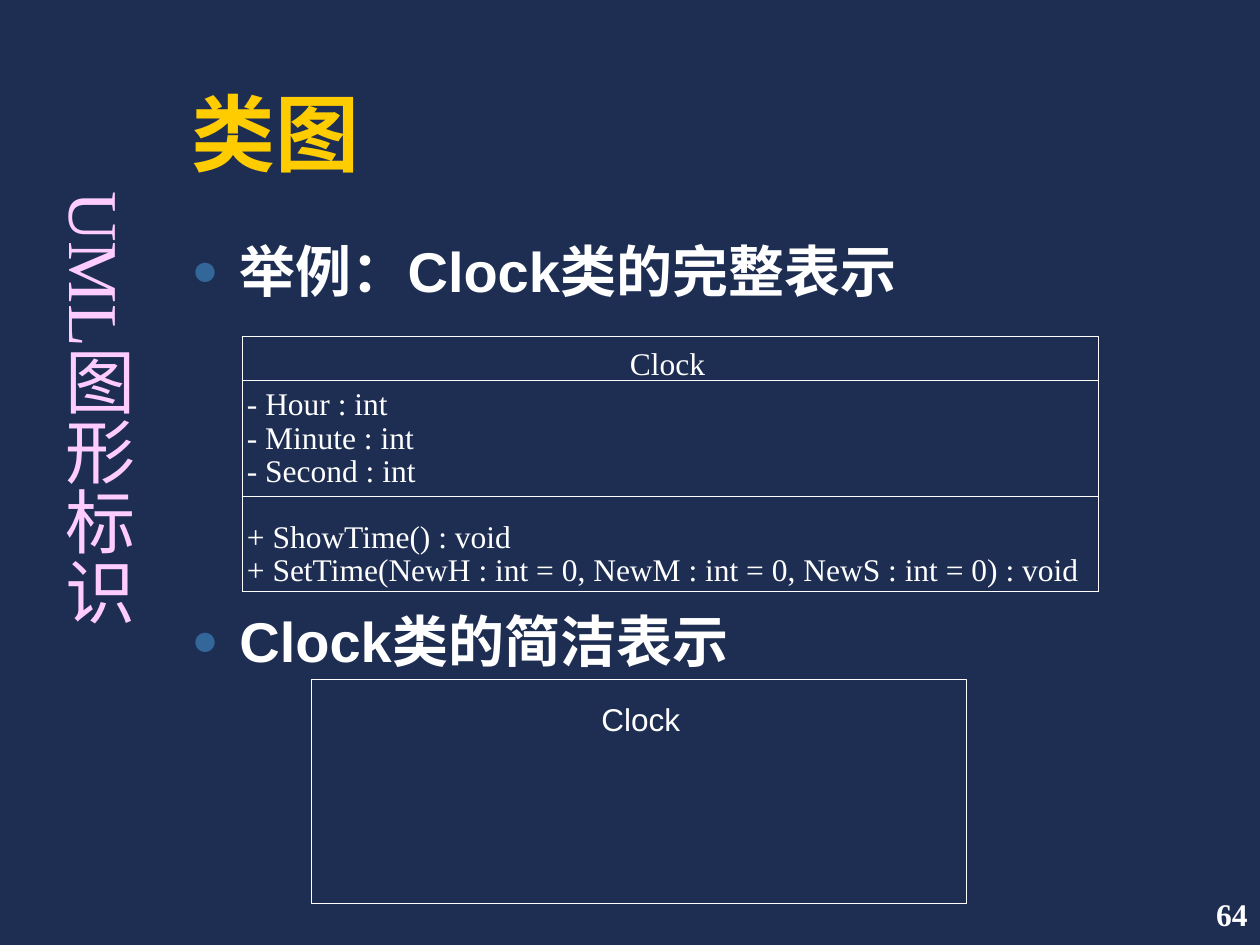
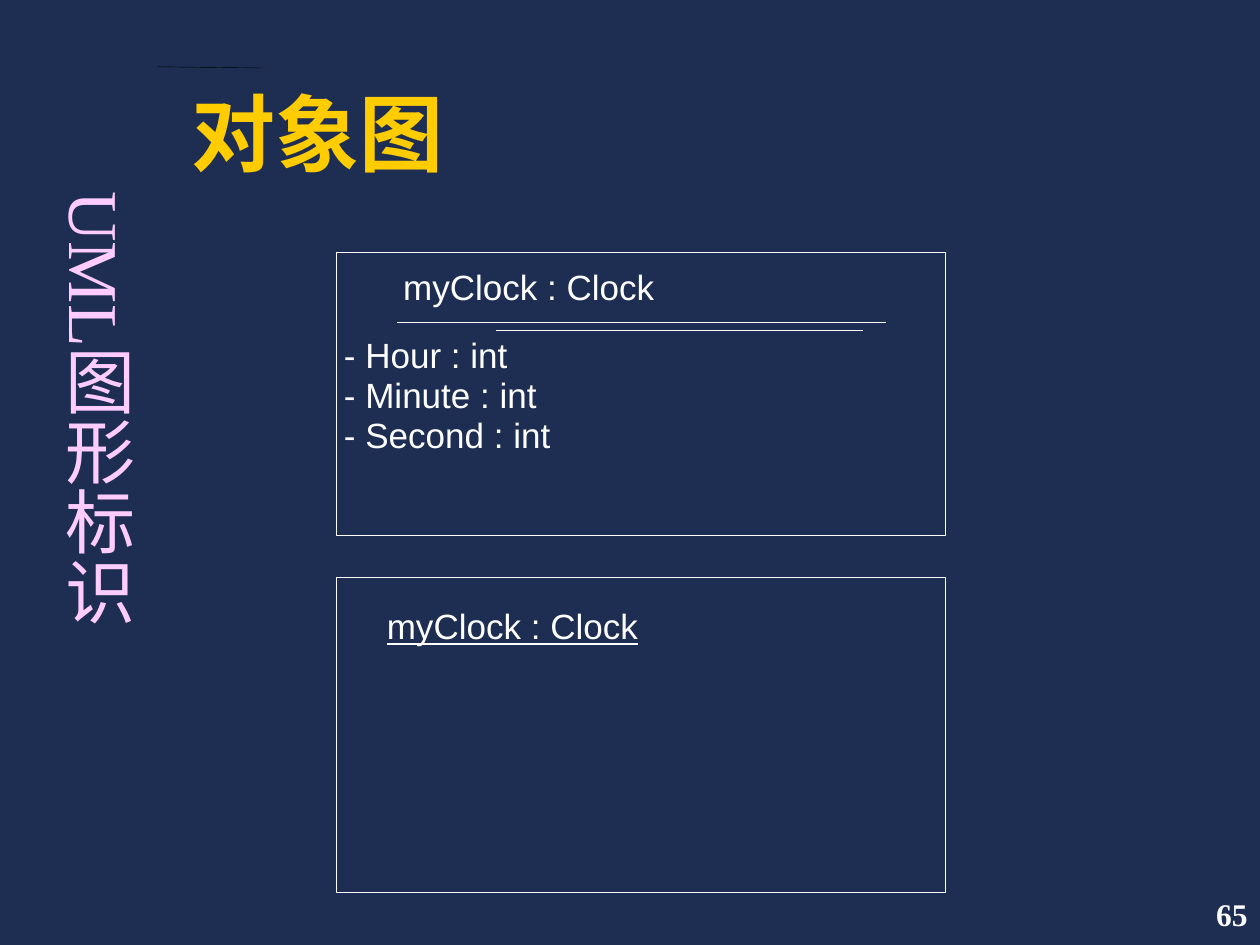
from lxml.etree import SubElement
from pptx import Presentation
from pptx.dml.color import RGBColor
from pptx.enum.shapes import MSO_CONNECTOR, MSO_SHAPE
from pptx.enum.text import MSO_ANCHOR, MSO_AUTO_SIZE, PP_ALIGN
from pptx.oxml.ns import qn
from pptx.util import Inches, Pt

# Content
SIDE_LABEL = "UML图形标识"
CLASS_PAGE = {
    "title": "类图",
    "number": 64,
    "bullets": ["举例：Clock类的完整表示", "Clock类的简洁表示"],
    "name": "Clock",
    "methods": [
        ("+ ShowTime() : void", 2.11),
        ("+ SetTime(NewH : int = 0, NewM : int = 0, NewS : int = 0) : void", 6.61),
    ],
}
OBJECT_PAGE = {"title": "对象图", "number": 65, "name": "myClock : Clock"}
# Each member with the width of its line, at 18 pt serif and at 20 pt sans
ATTRIBUTES = [
    ("- Hour : int", 1.12, 1.30),
    ("- Minute : int", 1.33, 1.53),
    ("- Second : int", 1.34, 1.64),
]

# Shared style
NAVY = RGBColor(0x1E, 0x2E, 0x53)
GOLD = RGBColor(0xFF, 0xCC, 0x00)
PINK = RGBColor(0xFF, 0xCC, 0xFF)
WHITE = RGBColor(0xFF, 0xFF, 0xFF)
BLACK = RGBColor(0, 0, 0)
BULLET_BLUE = "336699"
SANS, SERIF = "Arial", "Times New Roman"
HAIRLINE = Pt(0.25)

# Shared places: left, top, width, height in inches
SLIDE_W, SLIDE_H = 10, 7.5
TITLE_AREA = (1.42, 0.25, 7.83, 1.25)
BODY_AREA = (1.42, 1.83, 7.92, 4.75)
SIDE_AREA = (0.3, 1.42, 0.86, 5.17)
NUMBER_AREA = (SLIDE_W - 2.08, SLIDE_H - 0.5, 2.08, 0.5)


def place(part, area):
    part.left, part.top, part.width, part.height = map(Inches, area)


def write(part, lines, *, font=SANS, size=18, color=WHITE, bold=False,
          underline=False, align=PP_ALIGN.LEFT, anchor=MSO_ANCHOR.TOP,
          margins=(0, 0), wrap=True, gap=0, bullet=False):
    """Fill a part with one paragraph per line, all in one format."""
    frame = part.text_frame
    frame.auto_size = MSO_AUTO_SIZE.NONE
    frame.word_wrap = wrap
    frame.vertical_anchor = anchor
    frame.margin_left = frame.margin_right = Inches(margins[0])
    frame.margin_top = frame.margin_bottom = Inches(margins[1])
    for index, line in enumerate(lines):
        paragraph = frame.paragraphs[0] if index == 0 else frame.add_paragraph()
        if bullet:
            add_bullet(paragraph)
        paragraph.alignment = align
        paragraph.space_before = Pt(gap if index else 0)
        run = paragraph.add_run()
        run.text = line
        run.font.name, run.font.size = font, Pt(size)
        run.font.bold, run.font.underline = bold, underline
        run.font.color.rgb = color
        # Chinese characters are sans throughout
        SubElement(run.font._element, qn("a:ea"), typeface=SANS)
    return part


def add_bullet(paragraph):
    properties = paragraph._p.get_or_add_pPr()
    properties.set("marL", str(Inches(0.38)))
    properties.set("indent", str(Inches(-0.38)))
    color = SubElement(properties, qn("a:buClr"))
    SubElement(color, qn("a:srgbClr"), val=BULLET_BLUE)
    SubElement(properties, qn("a:buSzPct"), val="80000")
    SubElement(properties, qn("a:buChar"), char="●")


def add_text(shapes, area, line, **style):
    return write(shapes.add_textbox(*map(Inches, area)), [line], **style)


def add_frame(shapes, area):
    frame = shapes.add_shape(MSO_SHAPE.RECTANGLE, *map(Inches, area))
    frame.shadow.inherit = False
    frame.fill.background()
    frame.line.color.rgb = WHITE
    frame.line.width = HAIRLINE


def add_rule(shapes, start, end, color=WHITE):
    rule = shapes.add_connector(MSO_CONNECTOR.STRAIGHT, *map(Inches, start + end))
    rule.line.color.rgb = color
    rule.line.width = HAIRLINE
    SubElement(rule._element.spPr, qn("a:effectLst"))


def add_members(shapes, members, left, top, pitch, **style):
    """Stack one line of text per class member."""
    for row, (member, width) in enumerate(members):
        area = (left, top + row * pitch, width, style["size"] / 60)
        add_text(shapes, area, member, wrap=False, **style)


def add_page(prs, layout, page):
    slide = prs.slides.add_slide(prs.slide_layouts[layout])
    place(slide.shapes.title, TITLE_AREA)
    write(slide.shapes.title, [page["title"]], size=48, color=GOLD, bold=True,
          anchor=MSO_ANCHOR.BOTTOM, margins=(0.1, 0.05))
    # Vertical label, centred along its height
    side = add_text(slide.shapes, SIDE_AREA, SIDE_LABEL, font=SERIF, size=40,
                    color=PINK, align=PP_ALIGN.CENTER, margins=(0.05, 0.1))
    side.text_frame._txBody.bodyPr.set("vert", "eaVert")
    add_text(slide.shapes, NUMBER_AREA, str(page["number"]), font=SERIF, bold=True,
             align=PP_ALIGN.RIGHT, anchor=MSO_ANCHOR.MIDDLE, margins=(0.1, 0.05))
    return slide


def build_class_page(prs):
    slide = add_page(prs, 1, CLASS_PAGE)
    body = slide.placeholders[1]
    place(body, BODY_AREA)
    write(body, CLASS_PAGE["bullets"], size=32, bold=True, margins=(0.1, 0.05),
          gap=173, bullet=True)

    # Full class: name, attribute and method compartments share one bottom
    full = slide.shapes.add_group_shape().shapes
    left, width, bottom = 1.92, 6.8, 4.69
    for top in (2.67, 3.02, 3.94):
        add_frame(full, (left, top, width, bottom - top))
    add_text(full, (5, 2.73, 0.6, 0.3), CLASS_PAGE["name"], font=SERIF, wrap=False)
    attributes = [(text, serif_width) for text, serif_width, _ in ATTRIBUTES]
    for members, top in ((attributes, 3.05), (CLASS_PAGE["methods"], 4.1)):
        add_members(full, members, left + 0.04, top, 0.265, font=SERIF, size=18)

    # Short class: name only
    short = slide.shapes.add_group_shape().shapes
    add_frame(short, (2.47, 5.39, 5.2, 1.78))
    add_text(short, (4.18, 5.56, 1.81, 0.3), CLASS_PAGE["name"],
             align=PP_ALIGN.CENTER)


def build_object_page(prs):
    slide = add_page(prs, 5, OBJECT_PAGE)
    left, width = 2.67, 4.83

    # Object with its attributes
    full = slide.shapes.add_group_shape().shapes
    add_frame(full, (left, 2, width, 2.25))
    add_text(full, (3.2, 2.11, 2, 0.33), OBJECT_PAGE["name"], size=20, wrap=False)
    add_rule(full, (3.15, 2.56), (7.03, 2.56))
    add_rule(full, (3.94, 2.62), (6.85, 2.62))
    attributes = [(text, sans_width) for text, _, sans_width in ATTRIBUTES]
    add_members(full, attributes, left + 0.06, 2.65, 0.315, size=20)

    # Object with its name only
    short = slide.shapes.add_group_shape().shapes
    add_frame(short, (left, 4.58, width, 2.5))
    add_text(short, (3.07, 4.8, 2, 0.33), OBJECT_PAGE["name"], size=20,
             underline=True, wrap=False)

    # Thin rule above the title
    add_rule(slide.shapes, (1.25, 0.53), (2.08, 0.54), BLACK)


def main():
    prs = Presentation()
    prs.slide_width, prs.slide_height = Inches(SLIDE_W), Inches(SLIDE_H)
    background = prs.slide_master.background.fill
    background.solid()
    background.fore_color.rgb = NAVY
    build_class_page(prs)
    build_object_page(prs)
    prs.save("out.pptx")


if __name__ == "__main__":
    main()
